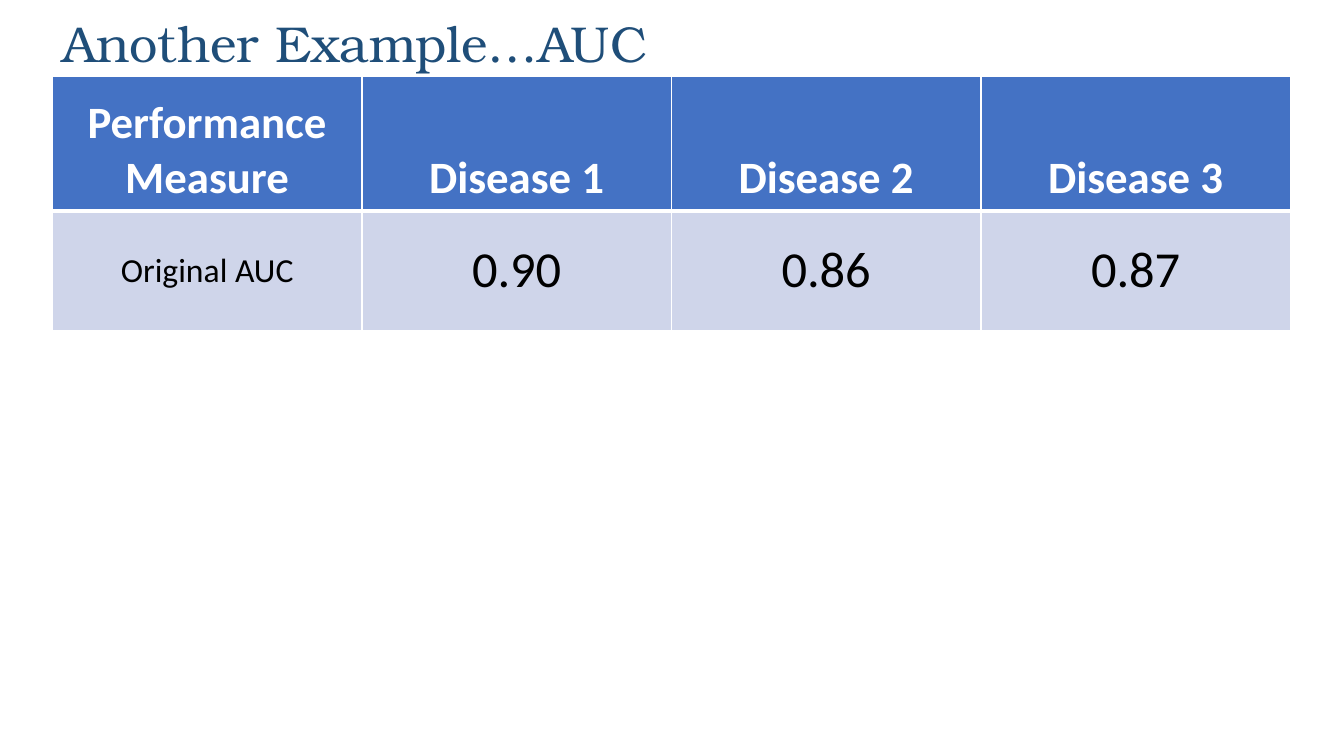
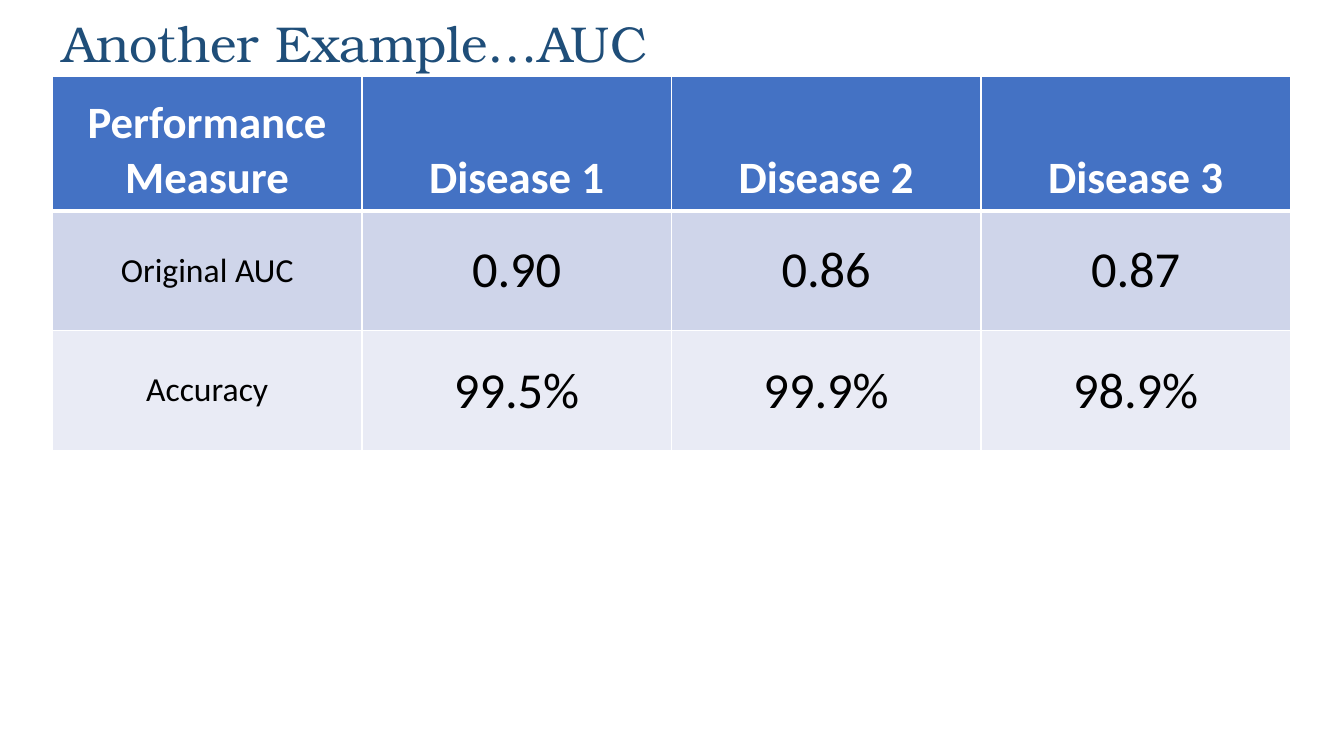
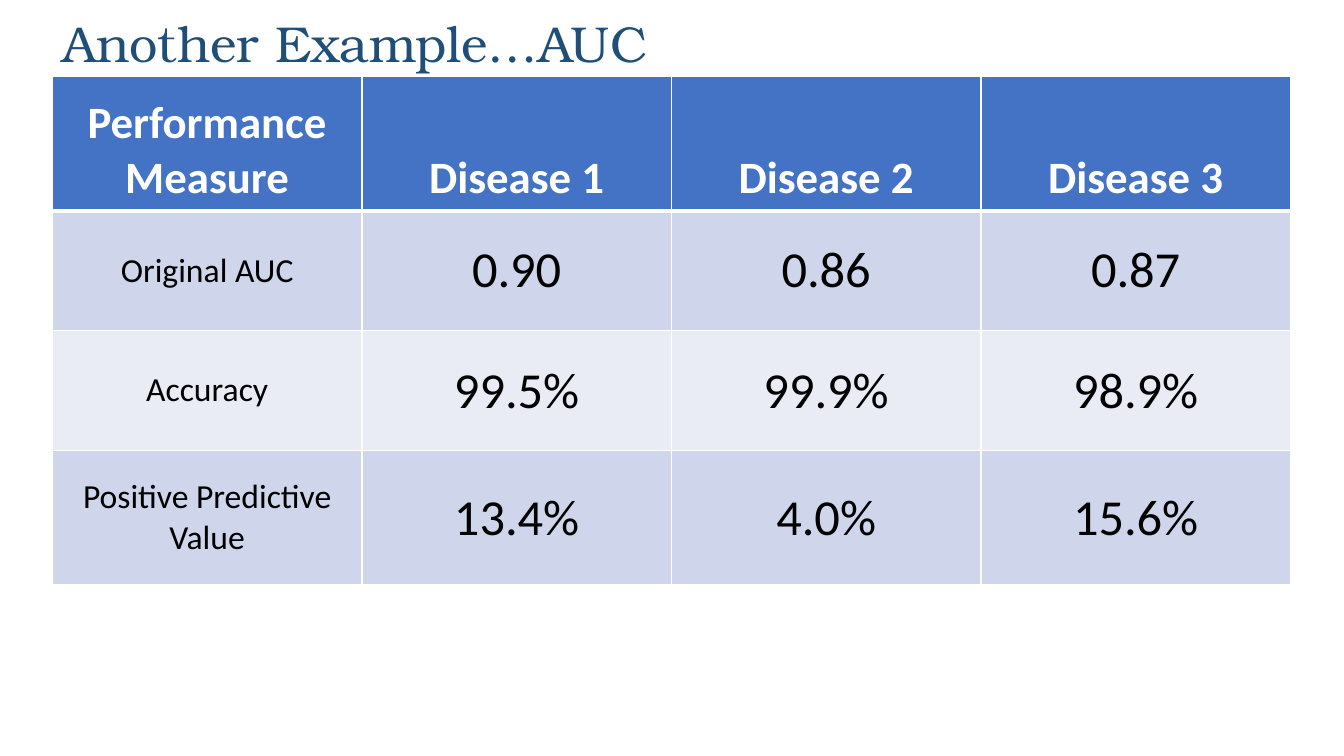
from dataclasses import dataclass

from lxml import etree
from pptx import Presentation
from pptx.dml.color import RGBColor
from pptx.enum import text
from pptx.oxml import ns
from pptx import util as u

PX = 9144


@dataclass(frozen=True)
class Theme:
    """Colours, fonts and type sizes of the deck."""
    title: str = "1F4E79"
    header: str = "4472C4"
    bands: tuple = ("CFD5EA", "E9EBF5")
    light: str = "FFFFFF"
    dark: str = "000000"
    title_font: str = "TeX Gyre Bonum"
    body_font: str = "Calibri"
    title_size: int = 36
    header_size: int = 32
    label_size: int = 24
    value_size: int = 36
    thin: int = 1
    thick: int = 3


class Deck:
    """Draws the elements of each slide in one theme."""

    def __init__(self, width, height, theme):
        """Start an empty presentation."""
        self.theme = theme
        self.prs = Presentation()
        self.prs.slide_width, self.prs.slide_height = width * PX, height * PX
        self.s = None

    def slide(self):
        """Add a blank slide and make it current."""
        self.s = self.prs.slides.add_slide(self.prs.slide_layouts[6])

    def run(self, p, words, font, size, colour, bold=False):
        """Add one styled run to a paragraph."""
        r = p.add_run()
        r.text = words
        r.font.name, r.font.size, r.font.bold = font, u.Pt(size), bold
        r.font.color.rgb = RGBColor.from_string(colour)

    def title(self, words, x, y, w, h):
        """Add the slide title."""
        t = self.theme
        tf = self.s.shapes.add_textbox(x * PX, y * PX, w * PX, h * PX).text_frame
        tf.word_wrap = True
        p = tf.paragraphs[0]
        p.line_spacing = 0.9
        self.run(p, words, t.title_font, t.title_size, t.title)

    def borders(self, cell, top, bottom):
        """Draw the four edges of a cell, given top and bottom widths."""
        t = self.theme
        widths = {"L": t.thin, "R": t.thin, "T": top, "B": bottom}
        tc_pr = cell._tc.get_or_add_tcPr()
        for i, (side, width) in enumerate(widths.items()):
            ln = etree.Element(ns.qn(f"a:ln{side}"), w=str(u.Pt(width)))
            fill = etree.SubElement(ln, ns.qn("a:solidFill"))
            etree.SubElement(fill, ns.qn("a:srgbClr"), val=t.light)
            tc_pr.insert(i, ln)

    def cell(self, cell, words, row, col):
        """Fill one table cell in the style of its row and column."""
        t = self.theme
        head = row == 0
        cell.fill.solid()
        cell.fill.fore_color.rgb = RGBColor.from_string(
            t.header if head else t.bands[(row - 1) % 2])
        self.borders(cell, t.thick if row == 1 else t.thin,
                     t.thick if head else t.thin)
        cell.vertical_anchor = (text.MSO_ANCHOR.BOTTOM if head
                                else text.MSO_ANCHOR.MIDDLE)
        if row > 1 and col > 0:
            cell.margin_left = cell.margin_top = cell.margin_right = PX
            cell.margin_bottom = 0
        size = t.header_size if head else t.value_size if col else t.label_size
        p = cell.text_frame.paragraphs[0]
        p.alignment = text.PP_ALIGN.CENTER
        self.run(p, words, t.body_font, size, t.light if head else t.dark, head)

    def table(self, rows, x, y, col_w, heights):
        """Add a banded table with equal columns."""
        cols = len(rows[0])
        tbl = self.s.shapes.add_table(len(rows), cols, x * PX, y * PX,
                                      cols * col_w * PX, sum(heights) * PX).table
        for column in tbl.columns:
            column.width = col_w * PX
        for i, (words, height) in enumerate(zip(rows, heights)):
            tbl.rows[i].height = height * PX
            for j, word in enumerate(words):
                self.cell(tbl.cell(i, j), word, i, j)


MEASURES = [
    ("Performance Measure", "Disease 1", "Disease 2", "Disease 3"),
    ("Original AUC", "0.90", "0.86", "0.87"),
    ("Accuracy", "99.5%", "99.9%", "98.9%"),
    ("Positive Predictive Value", "13.4%", "4.0%", "15.6%"),
]
HEIGHTS = [133, 119, 119, 133]


def main():
    """Reveal one more measure on each slide."""
    deck = Deck(1333, 750, Theme())
    for count in range(2, len(MEASURES) + 1):
        deck.slide()
        deck.title("Another Example…AUC", 52, 14, 723, 145)
        deck.table(MEASURES[:count], 52, 76, 307, HEIGHTS[:count])
    deck.prs.save("out.pptx")


if __name__ == "__main__":
    main()
